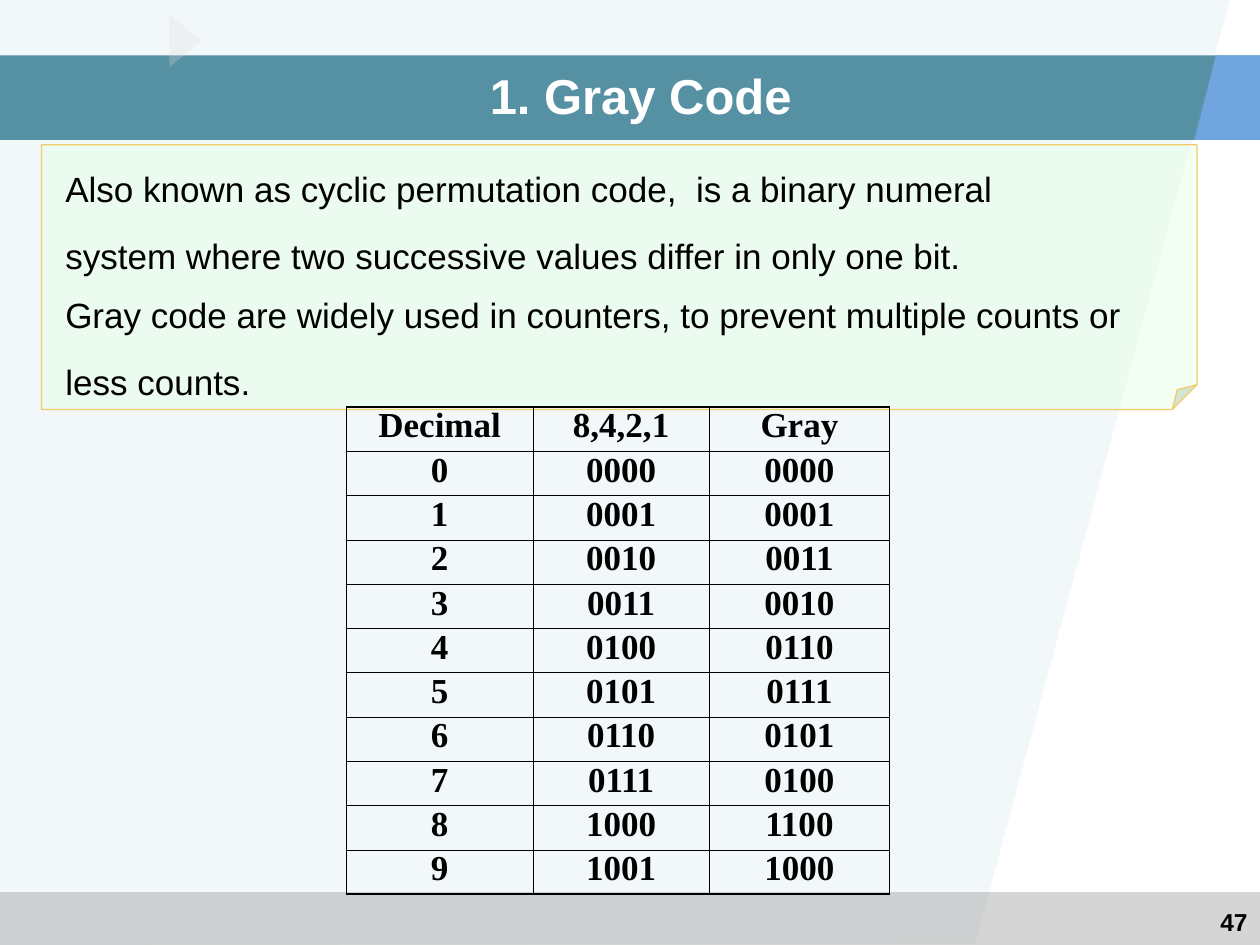
from dataclasses import dataclass

from lxml.etree import SubElement
from pptx import Presentation
from pptx.dml.color import RGBColor
from pptx.enum.shapes import MSO_SHAPE
from pptx.enum.text import MSO_ANCHOR, PP_ALIGN
from pptx.oxml import parse_xml
from pptx.oxml.ns import nsdecls, qn
from pptx.util import Inches, Pt


@dataclass(frozen=True)
class Theme:
    backdrop: str = "9FCAD3"
    footer: str = "969696"
    band: str = "26728A"
    band_end: str = "71A5DF"
    marker: str = "DDDDDD"
    note: str = "E7FFE7"
    note_line: str = "F1CA69"
    ink: str = "000000"
    white: str = "FFFFFF"
    sans: str = "Arial"
    serif: str = "Times New Roman"
    title_size: float = 28
    body_size: float = 20
    number_size: float = 14
    thick: float = 1.08
    thin: float = 0.45


theme = Theme()


def paint(shape, color, opacity=100):
    """Give a shape a flat fill with no outline or shadow; opacity in percent."""
    shape.shadow.inherit = False
    shape.line.fill.background()
    shape.fill.solid()
    shape.fill.fore_color.rgb = RGBColor.from_string(color)
    if opacity < 100:
        color_element = shape.fill._xPr.find(qn("a:solidFill"))[0]
        SubElement(color_element, qn("a:alpha")).set("val", str(opacity * 1000))


def write(frame, text, size, font=theme.sans, color=theme.ink, bold=False, align=PP_ALIGN.LEFT):
    """Put one run in the frame's first paragraph and return the paragraph."""
    frame.word_wrap = True
    paragraph = frame.paragraphs[0]
    paragraph.alignment = align
    run = paragraph.add_run()
    run.text = text
    run.font.size = Pt(size)
    run.font.name = font
    run.font.bold = bold
    run.font.color.rgb = RGBColor.from_string(color)
    return paragraph


presentation = Presentation()
presentation.slide_width = Inches(10)
presentation.slide_height = Inches(7.5)
slide = presentation.slides.add_slide(presentation.slide_layouts[6])
shapes = slide.shapes

# Background
panels = [
    ([(0, 0), (9.76, 0), (7.74, 7.49), (0, 7.5)], theme.backdrop, 13),
    ([(9.65, 0.44), (9.48, 1.11), (10, 1.11), (10, 0.44)], theme.band_end, 100),
]
bars = [(7.08, 0.42, theme.footer, 40), (0.44, 0.67, theme.band, 77)]

for index, (points, color, opacity) in enumerate(panels):
    corners = [(Inches(x), Inches(y)) for x, y in points]
    builder = shapes.build_freeform(*corners[0])
    builder.add_line_segments(corners[1:], close=True)
    paint(builder.convert_to_shape(), color, opacity)
    if index == 0:
        for top, height, bar_color, bar_opacity in bars:
            bar = shapes.add_shape(
                MSO_SHAPE.RECTANGLE, 0, Inches(top), Inches(10), Inches(height))
            paint(bar, bar_color, bar_opacity)

marker = shapes.add_shape(
    MSO_SHAPE.ISOSCELES_TRIANGLE, Inches(1.26), Inches(0.2), Inches(0.42), Inches(0.25))
marker.rotation = 90
paint(marker, theme.marker, 27)

# Slide number
number = shapes.add_textbox(Inches(7.67), Inches(7.15), Inches(2.33), Inches(0.35))
write(number.text_frame, "47", theme.number_size, bold=True, align=PP_ALIGN.RIGHT)

# Definition note; python-pptx offers no adjustment for the folded corner
note = shapes.add_shape(
    MSO_SHAPE.FOLDED_CORNER, Inches(0.33), Inches(1.15), Inches(9.17), Inches(2.1))
geometry = note._element.spPr.find(qn("a:prstGeom"))
geometry.set("prst", "foldedCorner")
fold = SubElement(geometry.find(qn("a:avLst")), qn("a:gd"))
fold.set("name", "adj")
fold.set("fmla", "val 9300")
paint(note, theme.note, 50)
note.line.color.rgb = RGBColor.from_string(theme.note_line)
note.line.width = Pt(0.75)

hard_space = chr(160)  # keeps "system where" on one line
statements = [
    f"Also known as cyclic permutation code, {hard_space}is a{hard_space}binary numeral "
    f"system{hard_space}where two successive values differ in only one bit.",
    "Gray code are widely used in counters, to prevent multiple counts or less counts.",
]
for index, statement in enumerate(statements):
    box = shapes.add_textbox(Inches(0.42), Inches(1.08 + index), Inches(8.67), Inches(1.17))
    paragraph = write(box.text_frame, statement, theme.body_size)
    paragraph.line_spacing = 1.6
    paragraph.space_before = Pt(12.5)

# Code table
gray_codes = ["0000", "0001", "0011", "0010", "0110", "0111", "0101", "0100", "1100", "1000"]
rows = [("Decimal", "8,4,2,1", "Gray")]
rows += [(str(value), f"{value:04b}", gray) for value, gray in enumerate(gray_codes)]
column_widths = [1.48, 1.4, 1.43]
last_row, last_column = len(rows) - 1, len(column_widths) - 1

table = shapes.add_table(
    len(rows), len(column_widths), Inches(2.75), Inches(3.23), Inches(4.31), Inches(3.87)).table
table.first_row = False
table.horz_banding = False
for column, width in zip(table.columns, column_widths):
    column.width = Inches(width)

for row_index, row in enumerate(rows):
    for column_index, text in enumerate(row):
        cell = table.cell(row_index, column_index)
        cell.vertical_anchor = MSO_ANCHOR.MIDDLE
        cell.fill.background()
        paragraph = write(cell.text_frame, text, theme.body_size, theme.serif,
                          bold=True, align=PP_ALIGN.CENTER)
        paragraph.line_spacing = 0.75
        outer_edges = {
            "L": column_index == 0,
            "R": column_index == last_column,
            "T": row_index == 0,
            "B": row_index == last_row,
        }
        properties = cell._tc.get_or_add_tcPr()
        for position, (side, is_outer) in enumerate(outer_edges.items()):
            width = Pt(theme.thick if is_outer else theme.thin)
            properties.insert(position, parse_xml(
                f'<a:ln{side} {nsdecls("a")} w="{width}"><a:solidFill>'
                f'<a:srgbClr val="{theme.ink}"/></a:solidFill></a:ln{side}>'))

# Title
title = shapes.add_textbox(Inches(0.5), Inches(0.5), Inches(9.17), Inches(0.5))
title.text_frame.vertical_anchor = MSO_ANCHOR.MIDDLE
write(title.text_frame, "1. Gray Code", theme.title_size, color=theme.white,
      bold=True, align=PP_ALIGN.CENTER)

presentation.save("out.pptx")
